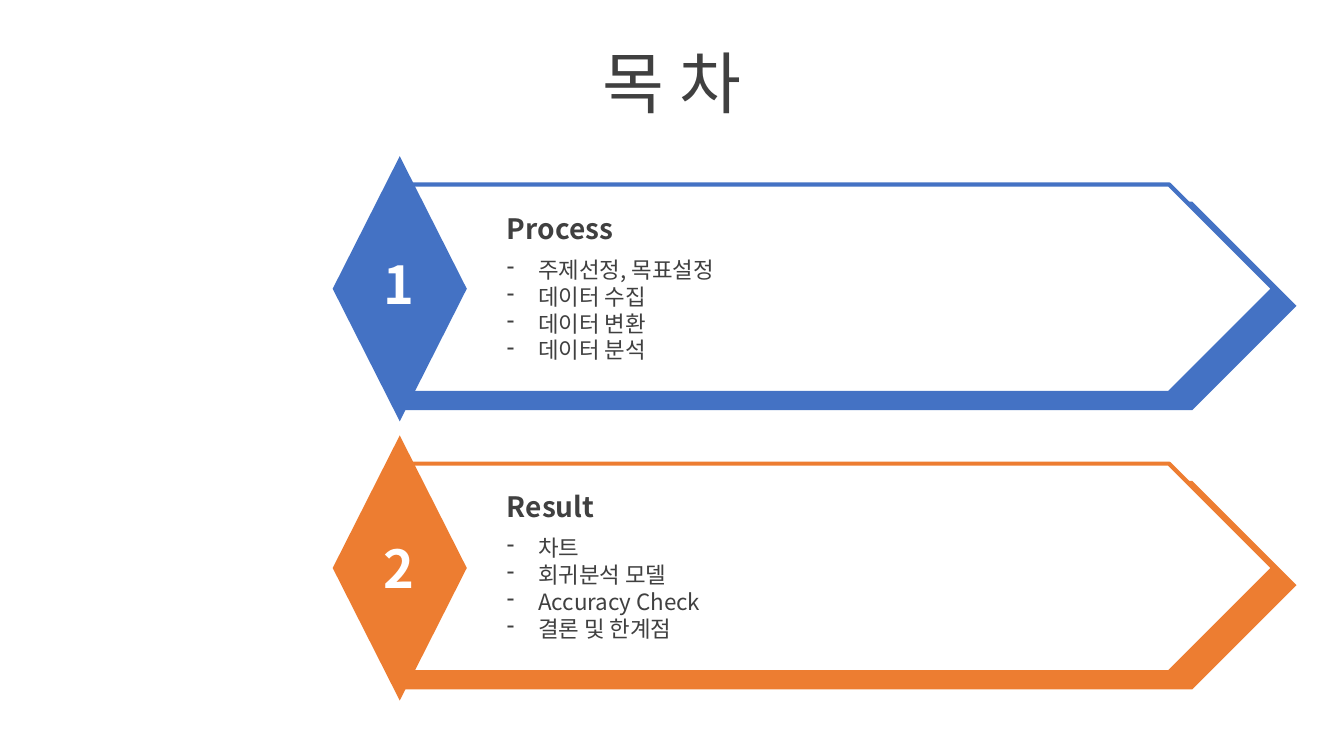
from dataclasses import dataclass
from lxml import etree
from pptx import Presentation
from pptx.dml.color import RGBColor
from pptx.enum.shapes import MSO_SHAPE
from pptx.enum.text import MSO_ANCHOR, MSO_AUTO_SIZE, PP_ALIGN
from pptx.oxml.ns import qn
from pptx.shapes.autoshape import Shape
from pptx.slide import Slide
from pptx.util import Emu, Pt

ARROW = MSO_SHAPE.PENTAGON
GEM = MSO_SHAPE.DIAMOND
MIDDLE = MSO_ANCHOR.MIDDLE
TOP = MSO_ANCHOR.TOP
GROW = MSO_AUTO_SIZE.SHAPE_TO_FIT_TEXT
FIXED = MSO_AUTO_SIZE.NONE
CENTER = PP_ALIGN.CENTER
LEFT = PP_ALIGN.LEFT

FONT = "Noto Sans CJK KR"
COLORS = {"blue": "4472C4", "orange": "ED7D31", "white": "FFFFFF", "ink": "404040"}
SCALE = 9144
INDENT = 31


@dataclass(frozen=True)
class Box:
    left: int
    top: int
    width: int
    height: int


@dataclass(frozen=True)
class Style:
    size: float
    color: str
    bold: bool = False
    align: PP_ALIGN = LEFT
    anchor: MSO_ANCHOR = TOP
    fit: MSO_AUTO_SIZE = GROW
    dash: bool = False


@dataclass(frozen=True)
class Part:
    number: str
    color: str
    top: int
    digit: int
    head: int
    title: str
    items: tuple[str, ...]


TITLE = Style(48, "ink", align=CENTER, anchor=MIDDLE, fit=FIXED)
DIGIT = Style(37.3, "white", bold=True, align=CENTER, anchor=MIDDLE)
HEAD = Style(20, "ink", bold=True)
LIST = Style(16, "ink", dash=True)

PARTS = (
    Part("1 ", "blue", 155, 245, 205, "Process",
         ("주제선정, 목표설정", "데이터 수집", "데이터 변환", "데이터 분석")),
    Part("2 ", "orange", 432, 527, 481, "Result",
         ("차트", "회귀분석 모델", "Accuracy Check", "결론 및 한계점")),
)


def px(value: int) -> Emu:
    return Emu(value * SCALE)


def rgb(name: str) -> RGBColor:
    return RGBColor.from_string(COLORS[name])


def place(box: Box) -> tuple[Emu, Emu, Emu, Emu]:
    return px(box.left), px(box.top), px(box.width), px(box.height)


def draw(slide: Slide, kind: MSO_SHAPE, box: Box, fill: str, line: str = "") -> Shape:
    shape = slide.shapes.add_shape(kind, *place(box))
    shape.shadow.inherit = False
    shape.fill.solid()
    shape.fill.fore_color.rgb = rgb(fill)
    if line:
        shape.line.color.rgb = rgb(line)
        shape.line.width = Pt(3)
    else:
        shape.line.fill.background()
    return shape


def write(slide: Slide, box: Box, lines: tuple[str, ...], style: Style) -> None:
    frame = slide.shapes.add_textbox(*place(box)).text_frame
    form = {"word_wrap": True, "auto_size": style.fit, "vertical_anchor": style.anchor}
    for name, value in form.items():
        setattr(frame, name, value)
    face = {"name": FONT, "size": Pt(style.size), "bold": style.bold}
    for index, line in enumerate(lines):
        para = frame.paragraphs[0] if index == 0 else frame.add_paragraph()
        para.alignment = style.align
        if style.dash:
            props = para._p.get_or_add_pPr()
            props.set("marL", str(px(INDENT)))
            props.set("indent", str(px(-INDENT)))
            etree.SubElement(props, qn("a:buChar")).set("char", "-")
        run = para.add_run()
        run.text = line
        for name, value in face.items():
            setattr(run.font, name, value)
        run.font.color.rgb = rgb(style.color)
        east = etree.SubElement(run._r.get_or_add_rPr(), qn("a:ea"))
        east.set("typeface", FONT)


def band(slide: Slide, part: Part) -> None:
    draw(slide, ARROW, Box(401, part.top + 45, 885, 207), part.color)
    draw(slide, ARROW, Box(401, part.top + 28, 862, 207), "white", part.color)
    draw(slide, GEM, Box(330, part.top, 133, 263), part.color)
    write(slide, Box(366, part.digit, 59, 73), (part.number,), DIGIT)
    write(slide, Box(493, part.head, 693, 44), (part.title,), HEAD)
    write(slide, Box(493, part.head + 44, 693, 118), part.items, LIST)


def main() -> None:
    deck = Presentation()
    deck.slide_width, deck.slide_height = px(1333), px(750)
    slide = deck.slides.add_slide(deck.slide_layouts[6])
    write(slide, Box(0, 39, 1333, 84), ("목 차",), TITLE)
    for part in PARTS:
        band(slide, part)
    deck.save("out.pptx")


if __name__ == "__main__":
    main()
